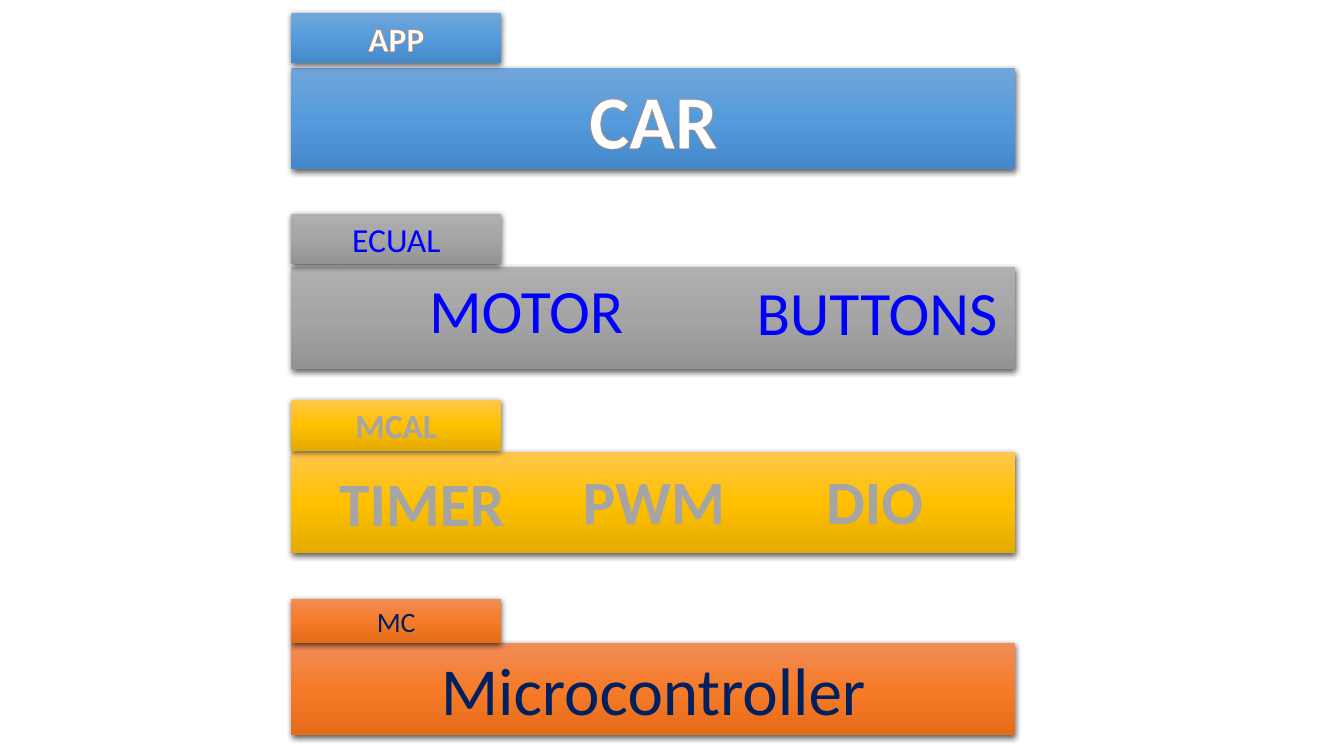
"""Builds a slide of the layered software architecture of a car controller."""
from copy import deepcopy

from lxml import etree
from pptx import Presentation
from pptx.dml.color import RGBColor
from pptx.enum.shapes import MSO_SHAPE
from pptx.enum.text import MSO_ANCHOR, MSO_AUTO_SIZE, PP_ALIGN
from pptx.oxml import parse_xml
from pptx.oxml.ns import nsdecls, qn
from pptx.util import Inches, Pt

RECTANGLE = MSO_SHAPE.RECTANGLE
MIDDLE = MSO_ANCHOR.MIDDLE
GROW = MSO_AUTO_SIZE.SHAPE_TO_FIT_TEXT
CENTER = PP_ALIGN.CENTER

WHITE = RGBColor(0xFF, 0xFF, 0xFF)
BLUE = RGBColor(0x00, 0x00, 0xFF)
GRAY = RGBColor(0xA5, 0xA5, 0xA5)
NAVY = RGBColor(0x00, 0x20, 0x60)
ORANGE = RGBColor(0xED, 0x7D, 0x31)
SKY_SHADES = (RGBColor(0x71, 0xA6, 0xDB), RGBColor(0x55, 0x9B, 0xDB), RGBColor(0x44, 0x8A, 0xCA))
GRAY_SHADES = (RGBColor(0xAF, 0xAF, 0xAF), GRAY, RGBColor(0x93, 0x93, 0x93))
GOLD_SHADES = (RGBColor(0xFF, 0xC6, 0x4B), RGBColor(0xFF, 0xC0, 0x00), RGBColor(0xE3, 0xAB, 0x00))
ORANGE_SHADES = (RGBColor(0xF1, 0x8C, 0x57), RGBColor(0xF6, 0x7B, 0x28), RGBColor(0xE5, 0x6C, 0x19))

LEFT, BAR_WIDTH, TAB_WIDTH = 2.89, 7.18, 2.08
SHADOW = (
    f'<a:outerShdw {nsdecls("a")} blurRad="{Pt(4.5)}" dist="{Pt(1.5)}" dir="5400000" '
    'algn="ctr" rotWithShape="0"><a:srgbClr val="000000"><a:alpha val="63000"/>'
    '</a:srgbClr></a:outerShdw>'
)


class LayerSlide:
    """Holds the font and the current slide, and draws its elements."""

    def __init__(self, page, font="Calibri"):
        self.page = page
        self.font = font

    def add_text(self, box, text, size=44, color=NAVY, bold=False, outline=None):
        """Puts one centred line of formatted text into a box."""
        frame = box.text_frame
        frame.word_wrap = True
        frame.auto_size = GROW
        para = frame.paragraphs[0]
        para.alignment = CENTER
        span = para.add_run()
        span.text = text
        span.font.name = self.font
        span.font.size = Pt(size)
        span.font.bold = bold
        span.font.color.rgb = color
        if outline is not None:
            properties = span._r.get_or_add_rPr()
            line = etree.Element(qn("a:ln"), w=str(Pt(0.52)))
            fill = etree.SubElement(line, qn("a:solidFill"))
            etree.SubElement(fill, qn("a:srgbClr"), val=str(outline))
            properties.insert(0, line)

    def block(self, top, width, height, shades, text="", **style):
        """Draws a shaded rectangle with a soft shadow and optional text."""
        box = self.page.shapes.add_shape(
            RECTANGLE, Inches(LEFT), Inches(top), Inches(width), Inches(height))
        box.line.fill.background()
        box.fill.gradient()
        box.fill.gradient_angle = 270
        first = box._element.spPr.find(".//" + qn("a:gs"))
        first.addnext(deepcopy(first))
        for index, (stop, shade) in enumerate(zip(box.fill.gradient_stops, shades)):
            stop.position = index / 2
            stop.color.rgb = shade
        box.shadow.inherit = False
        box._element.spPr.find(qn("a:effectLst")).append(parse_xml(SHADOW))
        box.text_frame.vertical_anchor = MIDDLE
        if text:
            self.add_text(box, text, **style)

    def label(self, text, left, top, width, **style):
        """Places a module name on a bar."""
        box = self.page.shapes.add_textbox(
            Inches(left), Inches(top), Inches(width), Inches(0.84))
        self.add_text(box, text, **style)


deck = Presentation()
deck.slide_width, deck.slide_height = Inches(13.33), Inches(7.5)
slide = LayerSlide(deck.slides.add_slide(deck.slide_layouts[6]))

app_style = {"color": WHITE, "bold": True, "outline": ORANGE}
ecual_style = {"color": BLUE}
mcal_style = {"color": GRAY, "bold": True}
mc_style = {"color": NAVY}

bars = [
    (0.67, 1.01, SKY_SHADES, "CAR", {"size": 54, **app_style}),
    (2.65, 1.01, GRAY_SHADES, "", {}),
    (4.48, 1.01, GOLD_SHADES, "", {}),
    (6.38, 0.91, ORANGE_SHADES, "Microcontroller", {"size": 48, **mc_style}),
]
modules = [
    ("TIMER", 3.12, 4.56, 2.13, mcal_style),
    ("PWM", 5.42, 4.54, 2.13, mcal_style),
    ("DIO", 7.61, 4.54, 2.13, mcal_style),
    ("MOTOR", 3.12, 2.65, 4.2, ecual_style),
    ("BUTTONS", 7.32, 2.67, 2.76, ecual_style),
]
tabs = [
    (0.13, 0.5, SKY_SHADES, "APP", {"size": 24, **app_style}),
    (2.12, 0.5, GRAY_SHADES, "ECUAL", {"size": 24, **ecual_style}),
    (3.97, 0.5, GOLD_SHADES, "MCAL", {"size": 24, **mcal_style}),
    (5.94, 0.44, ORANGE_SHADES, "MC", {"size": 20, **mc_style}),
]


def draw_blocks(blocks, width):
    """Draws a column of blocks that share one width."""
    for top, height, shades, text, style in blocks:
        slide.block(top, width, height, shades, text, **style)


draw_blocks(bars, BAR_WIDTH)
for name, left, top, width, style in modules:
    slide.label(name, left, top, width, **style)
draw_blocks(tabs, TAB_WIDTH)

deck.save("out.pptx")
